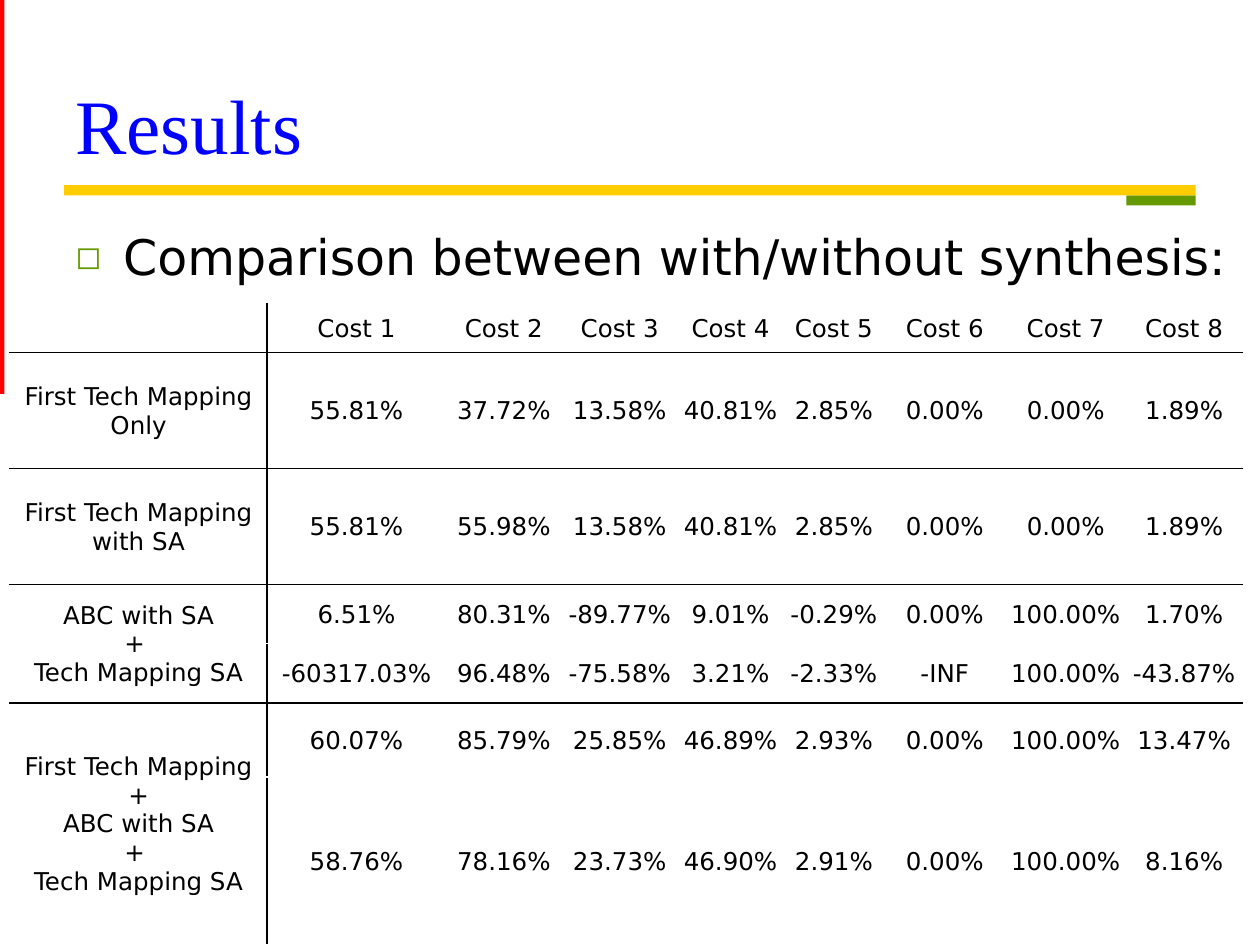
from lxml.etree import SubElement
from pptx import Presentation
from pptx.dml.color import RGBColor
from pptx.enum.shapes import MSO_SHAPE
from pptx.enum.text import MSO_ANCHOR, PP_ALIGN
from pptx.oxml.ns import qn
from pptx.util import Inches, Pt

BLACK, WHITE = "000000", "FFFFFF"
TITLE = "Results"
POINT = "Comparison between with/without synthesis:"
BARS = [
    ((8.94, 1.55, 0.55, 0.08), 0, "669900"),
    ((-1.58, 1.51, 3.15, 0.08), 270, "FF0000"),
    ((0.51, 1.47, 8.98, 0.08), 0, "FFCC00"),
]
GROUPS = [
    ("", [["Cost 1", "Cost 2", "Cost 3", "Cost 4", "Cost 5", "Cost 6", "Cost 7", "Cost 8"]]),
    ("First Tech Mapping\vOnly",
     [["55.81%", "37.72%", "13.58%", "40.81%", "2.85%", "0.00%", "0.00%", "1.89%"]]),
    ("First Tech Mapping\vwith SA",
     [["55.81%", "55.98%", "13.58%", "40.81%", "2.85%", "0.00%", "0.00%", "1.89%"]]),
    ("ABC with SA\v+ \vTech Mapping SA",
     [["6.51%", "80.31%", "-89.77%", "9.01%", "-0.29%", "0.00%", "100.00%", "1.70%"],
      ["-60317.03%", "96.48%", "-75.58%", "3.21%", "-2.33%", "-INF", "100.00%", "-43.87%"]]),
    ("First Tech Mapping\v+\vABC with SA\v+ \vTech Mapping SA",
     [["60.07%", "85.79%", "25.85%", "46.89%", "2.93%", "0.00%", "100.00%", "13.47%"],
      ["58.76%", "78.16%", "23.73%", "46.90%", "2.91%", "0.00%", "100.00%", "8.16%"]]),
]
WIDTHS = [2.04, 1.42, 0.92, 0.92, 0.84, 0.8, 0.96, 0.96, 0.92]
HEIGHTS = [0.39, 0.92, 0.92, 0.47, 0.47, 0.59, 1.33]
INSETS = {"margin_left": 0.01, "margin_right": 0.01, "margin_top": 0.01, "margin_bottom": 0}


def color(code):
    return RGBColor.from_string(code)


def box(*sizes):
    return [Inches(size) for size in sizes]


def place(shape, *sizes):
    for name, size in zip(("left", "top", "width", "height"), box(*sizes)):
        setattr(shape, name, size)


def style(para, face, size, code, **form):
    for name, value in form.items():
        setattr(para, name, value)
    for run in para.runs:
        for name, value in {"name": face, "size": Pt(size), "bold": False}.items():
            setattr(run.font, name, value)
        run.font.color.rgb = color(code)


def bullet(para, mark, code, size):
    props = para._p.get_or_add_pPr()
    props.set("marL", str(Inches(0.38)))
    props.set("indent", str(Inches(-0.38)))
    tint = SubElement(props, qn("a:buClr"))
    SubElement(tint, qn("a:srgbClr"), val=code)
    SubElement(props, qn("a:buSzPct"), val=str(size * 1000))
    SubElement(props, qn("a:buFont"), typeface="DejaVu Sans")
    SubElement(props, qn("a:buChar"), char=mark)


def border(cell, **edges):
    props = cell._tc.get_or_add_tcPr()
    for side, code in edges.items():
        line = SubElement(props, qn("a:ln" + side), w=str(Pt(1)))
        fill = SubElement(line, qn("a:solidFill"))
        SubElement(fill, qn("a:srgbClr"), val=code)


def dress(cell, text, col, top, foot):
    border(
        cell,
        L=BLACK if col == 1 else WHITE,
        R=BLACK if col == 0 else WHITE,
        T=BLACK if top else WHITE,
        B=BLACK if foot else WHITE,
    )
    cell.fill.solid()
    cell.fill.fore_color.rgb = color(WHITE)
    for name, size in INSETS.items():
        setattr(cell, name, Inches(size))
    cell.vertical_anchor = MSO_ANCHOR.MIDDLE
    para = cell.text_frame.paragraphs[0]
    para.text = text
    style(para, "DejaVu Sans", 14, BLACK, alignment=PP_ALIGN.CENTER)


def grid(slide):
    frame = slide.shapes.add_table(
        len(HEIGHTS), len(WIDTHS), *box(0.08, 2.41, sum(WIDTHS), sum(HEIGHTS)))
    table = frame.table
    for col, width in zip(table.columns, WIDTHS):
        col.width = Inches(width)
    for row, height in zip(table.rows, HEIGHTS):
        row.height = Inches(height)
    start = 0
    for label, rows in GROUPS:
        end = start + len(rows) - 1
        below = end < len(HEIGHTS) - 1
        for row, values in enumerate(rows, start):
            first = row == start
            head = label if first else ""
            dress(table.cell(row, 0), head, 0, start > 0, below)
            for col, value in enumerate(values, 1):
                dress(table.cell(row, col), value, col,
                      first and start > 0, row == end and below)
        if end > start:
            table.cell(start, 0).merge(table.cell(end, 0))
        start = end + 1


def main():
    deck = Presentation()
    deck.slide_width, deck.slide_height = box(10, 7.5)
    slide = deck.slides.add_slide(deck.slide_layouts[5])

    for sizes, turn, code in BARS:
        bar = slide.shapes.add_shape(MSO_SHAPE.RECTANGLE, *box(*sizes))
        bar.rotation = turn
        bar.shadow.inherit = False
        bar.fill.solid()
        bar.fill.fore_color.rgb = color(code)
        bar.line.fill.background()

    title = slide.shapes.title
    place(title, 0.5, 0.14, 9, 1.25)
    title.text_frame.text = TITLE
    title.text_frame.vertical_anchor = MSO_ANCHOR.BOTTOM
    style(title.text_frame.paragraphs[0], "Times New Roman", 44, "0000FF",
          alignment=PP_ALIGN.LEFT, line_spacing=0.8)

    body = slide.shapes.add_textbox(*box(0.5, 1.75, 9.54, 4.95)).text_frame
    body.word_wrap = True
    body.text = POINT
    para = body.paragraphs[0]
    style(para, "DejaVu Sans", 28, BLACK, space_before=Pt(3))
    bullet(para, "◻", "669900", 65)

    grid(slide)
    deck.save("out.pptx")


if __name__ == "__main__":
    main()
